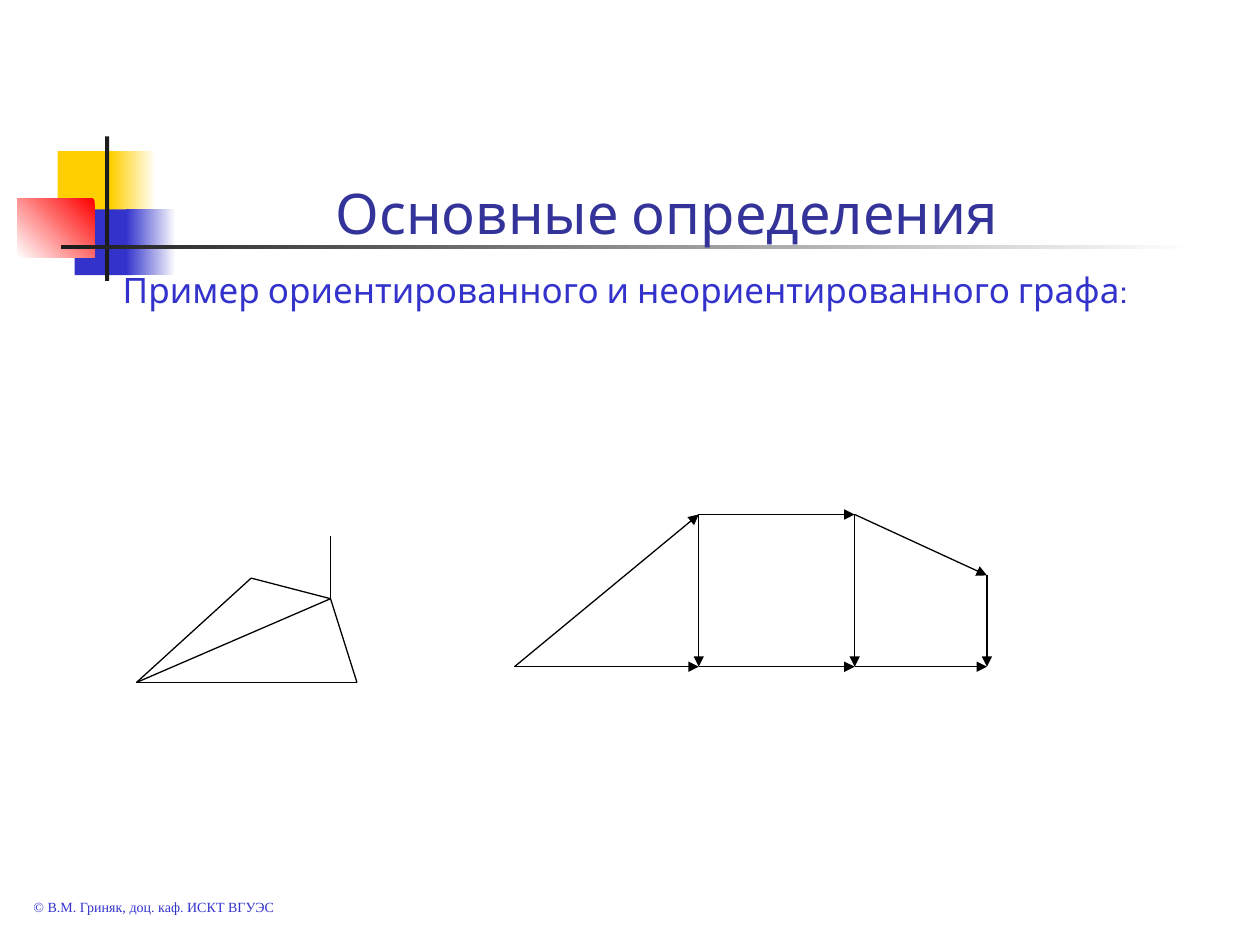
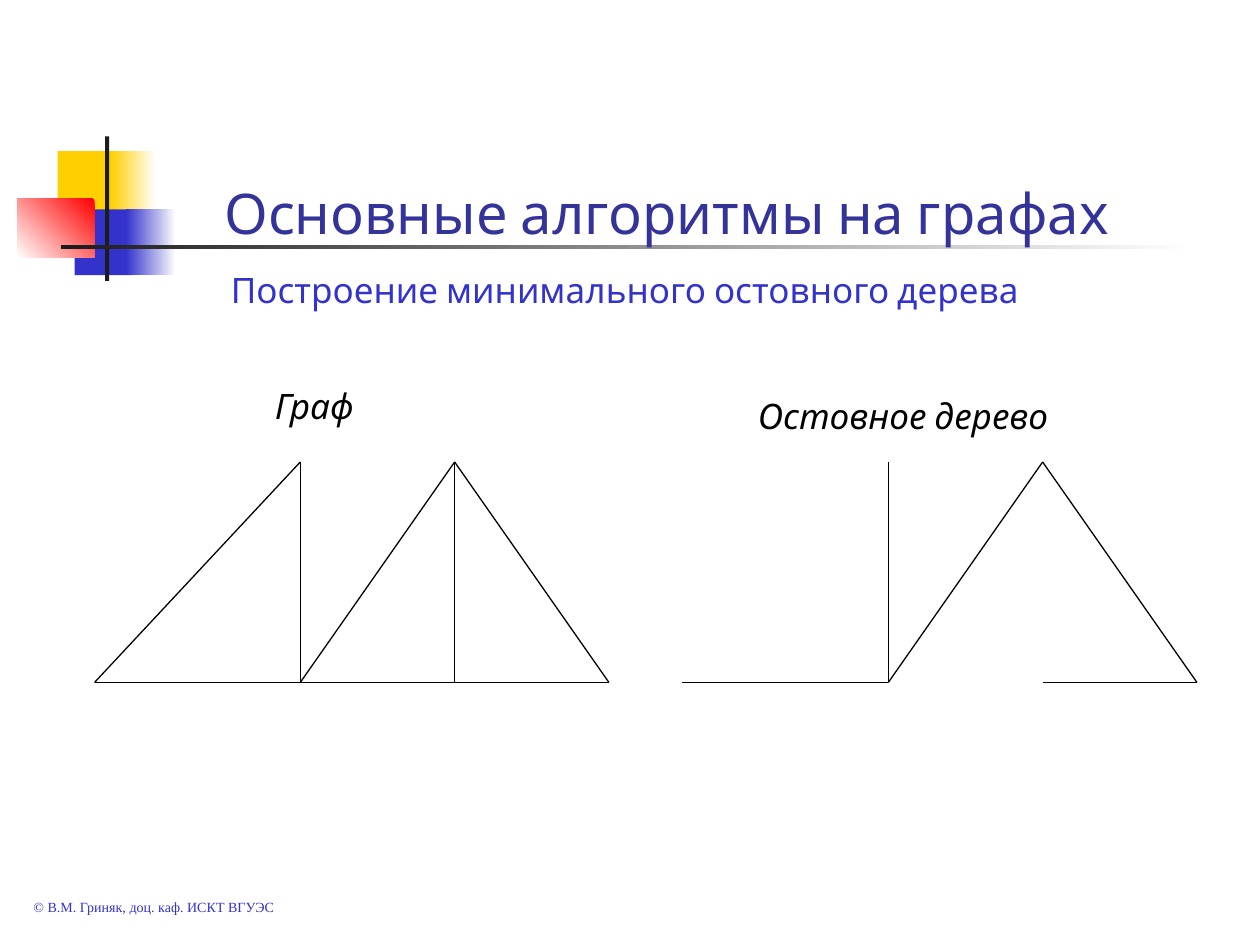
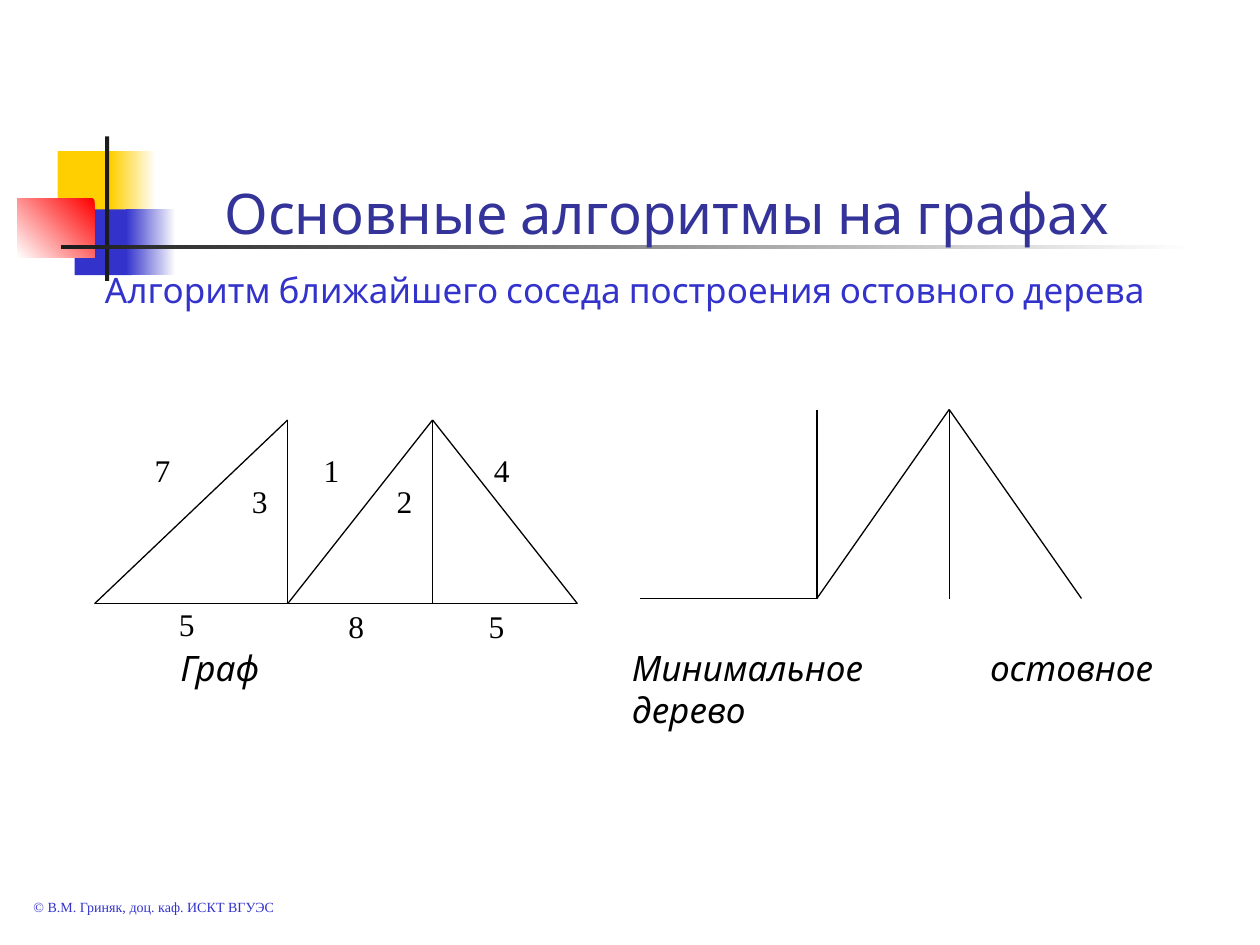
from dataclasses import dataclass
from typing import NamedTuple

from lxml.etree import SubElement
from pptx import Presentation
from pptx.dml.color import RGBColor
from pptx.enum.shapes import MSO_CONNECTOR, MSO_SHAPE
from pptx.enum.text import MSO_ANCHOR as Anchor, MSO_AUTO_SIZE as AutoSize, PP_ALIGN as Align
from pptx.oxml.ns import qn
from pptx.slide import Slide
from pptx.text.text import TextFrame
from pptx.util import Inches, Pt

COLUMNS, ROWS = 240, 180
CELL = Inches(10) / COLUMNS
SANS, SERIF = "Cabin", "Times New Roman"
BLACK, WHITE, INK = "000000", "FFFFFF", "1C1C1C"
YELLOW, BLUE, RED, NAVY = "FFCF01", "3333CC", "FF0000", "333399"


class Box(NamedTuple):
    left: float
    top: float
    width: float
    height: float


class Style(NamedTuple):
    font: str
    size: float
    colour: str
    align: Align = Align.LEFT
    italic: bool = False


class Band(NamedTuple):
    box: Box
    start: str
    end: str | None = None
    angle: float = 180


@dataclass(frozen=True)
class Graph:
    frame: Box
    vertices: dict[str, tuple[float, float]]
    edges: str
    directed: bool = False


@dataclass(frozen=True)
class Label:
    text: str
    box: Box
    style: Style
    grows: bool = True


@dataclass(frozen=True)
class Page:
    title: str
    subtitle: str
    graphs: tuple[Graph, ...]
    labels: tuple[Label, ...] = ()


TITLE = Style(SANS, 32, NAVY, Align.CENTER)
SUBTITLE = Style(SANS, 20, BLUE, Align.CENTER)
CAPTION = Style(SANS, 20, BLACK, Align.JUSTIFY, True)
WEIGHT = Style(SERIF, 18, BLACK)
COPYRIGHT = Style(SERIF, 8, BLUE)

TITLE_BOX = Box(26, 8, 204.5, 40)
SUBTITLE_BOX = Box(8, 50, 222, 10.5)
COPYRIGHT_BOX = Box(4, 170, 64, 5.7)

BANDS = (
    Band(Box(11, 28.8, 11.5, 12.5), YELLOW),
    Band(Box(21.1, 28.8, 8.6, 12.5), WHITE, YELLOW),
    Band(Box(14.2, 39.9, 11, 12.5), BLUE),
    Band(Box(24, 39.9, 9.5, 12.5), WHITE, BLUE),
    Band(Box(3.3, 37.9, 14.7, 11.1), RED, WHITE, 225),
    Band(Box(20, 26, 0.8, 27.5), INK),
    Band(Box(11.6, 46.7, 216, 0.8), WHITE, INK),
)

TWIN_PEAKS = {"A": (0, 1), "B": (0.4, 0), "C": (0.4, 1),
              "D": (0.7, 0), "E": (0.7, 1), "F": (1, 1)}
ALL_EDGES = "AC AB BC CD CE DE DF FE"

UNDIRECTED = Graph(
    Box(26, 102, 42, 28),
    {"A": (0, 1), "B": (0.52, 0.29), "C": (0.88, 0.43), "D": (0.88, 0), "E": (1, 1)},
    "AB BC CD CE AE AC",
)
DIRECTED = Graph(
    Box(98, 98, 90, 29),
    {"A": (0, 1), "B": (0.39, 0), "C": (0.39, 1), "D": (0.72, 0),
     "E": (0.72, 1), "F": (1, 0.4), "G": (1, 1)},
    "AC AB BC CE BD DE DF EG FG",
    directed=True,
)

WEIGHTS = (("7", 27.1, 84.7), ("5", 31.7, 114), ("3", 45.6, 90.7), ("1", 59.3, 84.7),
           ("8", 64, 114.5), ("2", 73.2, 90.7), ("4", 91.7, 84.7), ("5", 90.7, 114.5))

PAGES = (
    Page("Основные определения ",
         "Пример ориентированного и неориентированного графа:",
         (UNDIRECTED, DIRECTED)),
    Page("Основные алгоритмы на графах ",
         "Построение минимального остовного дерева",
         (Graph(Box(18, 88, 98, 42), TWIN_PEAKS, ALL_EDGES),
          Graph(Box(130, 88, 98, 42), TWIN_PEAKS, "AC BC CD DF FE")),
         (Label("Граф", Box(50, 72, 22, 10.5), CAPTION),
          Label("Остовное дерево", Box(142, 74, 76, 10.5), CAPTION))),
    Page("Основные алгоритмы на графах ",
         "Алгоритм ближайшего соседа построения остовного дерева",
         (Graph(Box(18, 80, 92, 35), TWIN_PEAKS, ALL_EDGES),
          Graph(Box(122, 78, 84, 36), TWIN_PEAKS, "AC BC CD DE DF")),
         tuple(Label(weight, Box(left, top, 13.8, 17.5), WEIGHT, False)
               for weight, left, top in WEIGHTS)
         + (Label("Граф", Box(32, 122, 22, 10.5), CAPTION),
            Label("Минимальное остовное дерево", Box(118, 122, 104, 18.5), CAPTION))),
)


def rgb(colour: str) -> RGBColor:
    return RGBColor.from_string(colour)


def cells(*counts: float) -> list[int]:
    return [round(count * CELL) for count in counts]


def write(frame: TextFrame, text: str, style: Style) -> None:
    frame.word_wrap = True
    paragraph = frame.paragraphs[0]
    paragraph.alignment = style.align
    run = paragraph.add_run()
    run.text = text
    run.font.name = style.font
    run.font.size = Pt(style.size)
    run.font.italic = style.italic
    run.font.color.rgb = rgb(style.colour)


def draw_band(slide: Slide, band: Band) -> None:
    shape = slide.shapes.add_shape(MSO_SHAPE.RECTANGLE, *cells(*band.box))
    shape.shadow.inherit = False
    shape.line.fill.background()
    if band.end is None:
        shape.fill.solid()
        shape.fill.fore_color.rgb = rgb(band.start)
        return
    shape.fill.gradient()
    shape.fill.gradient_angle = band.angle
    for stop, colour in zip(shape.fill.gradient_stops, (band.start, band.end)):
        stop.color.rgb = rgb(colour)


def draw_label(slide: Slide, label: Label) -> None:
    frame = slide.shapes.add_textbox(*cells(*label.box)).text_frame
    write(frame, label.text, label.style)
    frame.auto_size = AutoSize.SHAPE_TO_FIT_TEXT if label.grows else AutoSize.NONE


def draw_title(slide: Slide, text: str) -> None:
    title = slide.shapes.title
    slide.shapes.element.append(title.element)
    title.left, title.top, title.width, title.height = cells(*TITLE_BOX)
    title.text_frame.vertical_anchor = Anchor.BOTTOM
    title.text_frame.auto_size = AutoSize.NONE
    write(title.text_frame, text, TITLE)


def draw_graph(slide: Slide, graph: Graph) -> None:
    left, top, width, height = graph.frame
    places = {name: cells(left + x * width, top + y * height)
              for name, (x, y) in graph.vertices.items()}
    for source, target in graph.edges.split():
        edge = slide.shapes.add_connector(MSO_CONNECTOR.STRAIGHT, *places[source], *places[target])
        edge.line.color.rgb = rgb(BLACK)
        edge.line.width = Pt(0.75)
        properties = edge.element.spPr
        if graph.directed:
            SubElement(properties.find(qn("a:ln")), qn("a:tailEnd"), type="triangle")
        SubElement(properties, qn("a:effectLst"))


def build_page(slide: Slide, page: Page) -> None:
    for band in BANDS:
        draw_band(slide, band)
    draw_label(slide, Label("© В.М. Гриняк, доц. каф. ИСКТ ВГУЭС", COPYRIGHT_BOX, COPYRIGHT))
    draw_title(slide, page.title)
    draw_label(slide, Label(page.subtitle, SUBTITLE_BOX, SUBTITLE))
    for graph in page.graphs:
        draw_graph(slide, graph)
    for label in page.labels:
        draw_label(slide, label)


def main() -> None:
    deck = Presentation()
    deck.slide_width, deck.slide_height = cells(COLUMNS, ROWS)
    title_only = deck.slide_layouts[5]
    for page in PAGES:
        build_page(deck.slides.add_slide(title_only), page)
    deck.save("out.pptx")


if __name__ == "__main__":
    main()
